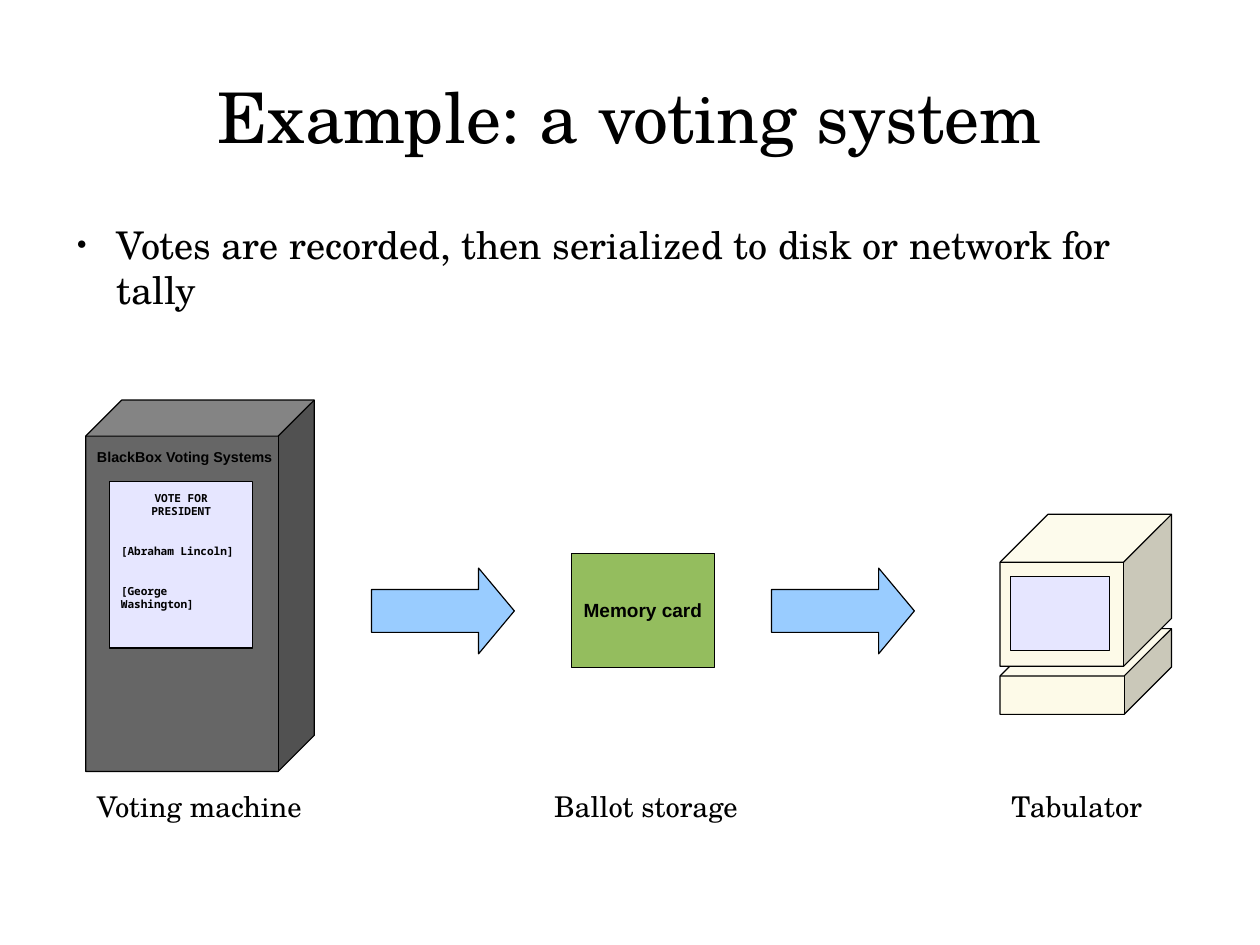
from lxml import etree
from pptx import Presentation, util as u
from pptx.dml.color import RGBColor
from pptx.enum import shapes, text
from pptx.oxml.ns import qn

Pt = u.Pt
BLACK = RGBColor(0x00, 0x00, 0x00)
CABINET_GREY = RGBColor(0x66, 0x66, 0x66)
SCREEN_LILAC = RGBColor(0xE6, 0xE6, 0xFF)
ARROW_BLUE = RGBColor(0x99, 0xCC, 0xFF)
CARD_GREEN = RGBColor(0x94, 0xBD, 0x5E)
CASE_CREAM = RGBColor(0xFD, 0xFA, 0xE8)
SERIF, SANS, MONO = "TeX Gyre Schola", "Arial", "Noto Sans Mono"
KIND = shapes.MSO_SHAPE
LEFT, CENTER = text.PP_ALIGN.LEFT, text.PP_ALIGN.CENTER
TOP, MIDDLE = text.MSO_ANCHOR.TOP, text.MSO_ANCHOR.MIDDLE


def write(box, lines, font, frame):
    """Fill box with (words, paragraph format) pairs in one font."""
    for name, value in {"word_wrap": True, "auto_size": text.MSO_AUTO_SIZE.NONE, **frame}.items():
        setattr(box.text_frame, name, value)
    for number, (words, layout) in enumerate(lines):
        para = box.text_frame.add_paragraph() if number else box.text_frame.paragraphs[0]
        for name, value in layout.items():
            setattr(para, name, value)
        span = para.add_run()
        span.text = words
        span.font.color.rgb = BLACK
        for name, value in font.items():
            setattr(span.font, name, value)


def draw(kind, place, fill, adjustments=()):
    shape = page.shapes.add_shape(kind, *map(Pt, place))
    shape.shadow.inherit = False
    shape.fill.solid()
    shape.fill.fore_color.rgb = fill
    shape.line.color.rgb = BLACK
    shape.line.width = Pt(0)
    for number, value in enumerate(adjustments):
        shape.adjustments[number] = value
    return shape


deck = Presentation()
deck.slide_width, deck.slide_height = Pt(793.7), Pt(595.28)
page = deck.slides.add_slide(deck.slide_layouts[1])

# Title and bullet
title, body = page.placeholders
flush = {f"margin_{side}": 0 for side in ("left", "top", "right", "bottom")}
for box, top, height in ((title, 23.76, 98.64), (body, 139.2, 375.12)):
    box.left, box.top, box.width, box.height = map(Pt, (39.6, top, 714.24, height))
write(title, [("Example: a voting system", {"alignment": CENTER})],
      {"name": SERIF, "size": Pt(44)}, {**flush, "vertical_anchor": MIDDLE})
write(body, [("Votes are recorded, then serialized to disk or network for tally",
              {"space_before": Pt(14.4), "space_after": Pt(5.8)})],
      {"name": SERIF, "size": Pt(24)}, {**flush, "vertical_anchor": TOP})
bullet = body.text_frame.paragraphs[0]._p.get_or_add_pPr()
bullet.set("marL", str(Pt(33.84)))
bullet.set("indent", str(Pt(-25.2)))
color = etree.SubElement(bullet, qn("a:buClr"))
etree.SubElement(color, qn("a:srgbClr"), val=str(BLACK))
etree.SubElement(bullet, qn("a:buSzPct"), val="45000")
etree.SubElement(bullet, qn("a:buChar"), char="●")

# Voting machine
draw(KIND.CUBE, (54, 252, 144, 234), CABINET_GREY, [0.158])
ballot = draw(KIND.RECTANGLE, (69.12, 303.12, 90, 105.12), SCREEN_LILAC)
write(ballot, [("VOTE FOR", {"alignment": CENTER}),
               ("PRESIDENT", {"alignment": CENTER}),
               ("[Abraham Lincoln]", {"alignment": LEFT, "space_before": Pt(16.8)}),
               ("[George Washington]", {"alignment": LEFT, "space_before": Pt(16.8)})],
      {"name": MONO, "size": Pt(7), "bold": True},
      {"vertical_anchor": TOP, "margin_top": Pt(6.2)})
maker = page.shapes.add_textbox(Pt(54), Pt(278.64), Pt(126), Pt(17.28))
write(maker, [("BlackBox Voting Systems", {"alignment": LEFT})],
      {"name": SANS, "size": Pt(9), "bold": True}, {})

# Memory card between two arrows
for left in (234, 486):
    draw(KIND.RIGHT_ARROW, (left, 357.84, 90, 54), ARROW_BLUE, [0.5, 0.417])
card = draw(KIND.RECTANGLE, (360, 348.48, 90, 72), CARD_GREEN)
write(card, [("Memory card", {"alignment": CENTER})],
      {"name": SANS, "size": Pt(12), "bold": True}, {"vertical_anchor": MIDDLE})

# Tabulator: base, monitor, screen
draw(KIND.CUBE, (630, 396, 108, 54), CASE_CREAM, [0.552])
draw(KIND.CUBE, (630, 324, 108, 95.76), CASE_CREAM, [0.315])
draw(KIND.RECTANGLE, (636.48, 362.88, 62.4, 46.8), SCREEN_LILAC)

# Captions
for left, caption, height in ((54, "Voting machine", 56.16),
                              (342, "Ballot storage", 31.68),
                              (630, "Tabulator", 31.68)):
    box = page.shapes.add_textbox(Pt(left), Pt(493.2), Pt(144), Pt(height))
    write(box, [(caption, {"alignment": LEFT})], {"name": SERIF, "size": Pt(18)}, {})

deck.save("out.pptx")
